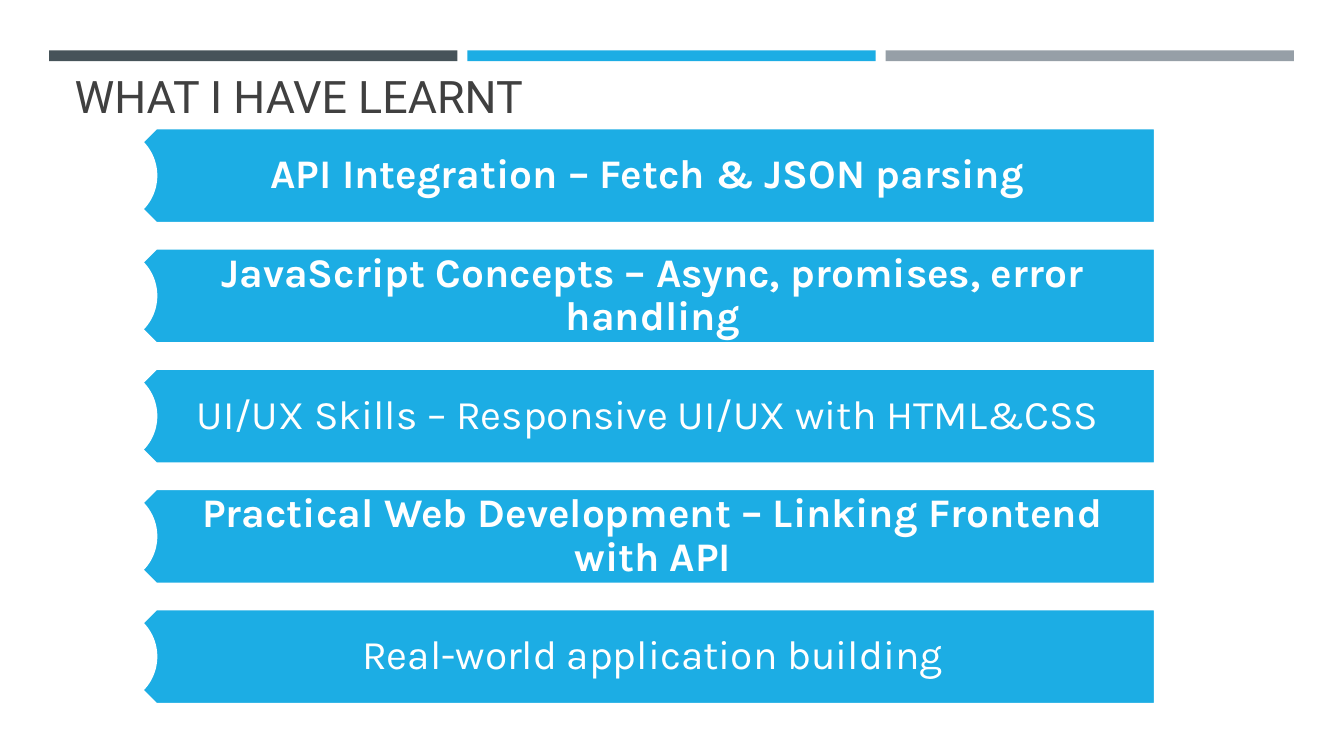
from pptx import Presentation
from pptx.dml.color import RGBColor
from pptx.enum.shapes import MSO_SHAPE
from pptx.enum.text import MSO_ANCHOR, PP_ALIGN
from pptx.util import Cm, Pt

RECTANGLE, PENTAGON, OVAL = MSO_SHAPE.RECTANGLE, MSO_SHAPE.PENTAGON, MSO_SHAPE.OVAL
MIDDLE, BOTTOM = MSO_ANCHOR.MIDDLE, MSO_ANCHOR.BOTTOM
LEFT, CENTER = PP_ALIGN.LEFT, PP_ALIGN.CENTER

SLATE = RGBColor(0x46, 0x53, 0x59)
BLUE = RGBColor(0x1C, 0xAD, 0xE4)
GREY = RGBColor(0x96, 0x9F, 0xA7)
DARK = RGBColor(0x40, 0x40, 0x40)
WHITE = RGBColor(0xFF, 0xFF, 0xFF)

# Each lesson: text, bold
LESSONS = [
    ("API Integration – Fetch & JSON parsing ", True),
    ("JavaScript Concepts – Async, promises, error handling", True),
    ("UI/UX Skills – Responsive UI/UX with HTML&CSS ", False),
    ("Practical Web Development – Linking Frontend with API", True),
    ("Real-world application building", False),
]


def add_text(page, text, box, *, font, size, color, bold=False, align=LEFT,
             anchor=MIDDLE, spacing=1.0, insets=(0.25, 0.13, 0.25, 0.13)):
    frame = page.shapes.add_textbox(*map(Cm, box)).text_frame
    frame.word_wrap = True
    frame.vertical_anchor = anchor
    (frame.margin_left, frame.margin_top,
     frame.margin_right, frame.margin_bottom) = map(Cm, insets)
    para = frame.paragraphs[0]
    para.alignment = align
    para.line_spacing = spacing
    span = para.add_run()
    span.text = text
    span.font.name = font
    span.font.size = Pt(size)
    span.font.bold = bold
    span.font.color.rgb = color


def add_block(page, kind, box, fill, line=None):
    shape = page.shapes.add_shape(kind, *map(Cm, box))
    shape.shadow.inherit = False
    shape.fill.solid()
    shape.fill.fore_color.rgb = fill
    if line is None:
        shape.line.fill.background()
    else:
        shape.line.color.rgb = line
        shape.line.width = Pt(1.75)
    return shape


def add_top_bars(page, box):
    left, top, width, height = box
    gap = 0.25
    bar_width = (width - 2 * gap) / 3
    for index, color in enumerate((SLATE, BLUE, GREY)):
        bar_left = left + index * (bar_width + gap)
        add_block(page, RECTANGLE, (bar_left, top, bar_width, height), color)


def add_lesson(page, box, text, bold):
    left, top, width, height = box
    # Banner pointing left
    banner = add_block(page, PENTAGON, box, BLUE, WHITE)
    banner.rotation = 180
    # Text starts half way into the point
    indent = height / 4
    add_text(page, text, (left + indent, top, width - indent, height),
             font="Karla", size=29, color=WHITE, bold=bold, align=CENTER,
             spacing=0.9, insets=(1.04, 0.3, 0.58, 0.3))
    # White disc centred on the tip
    add_block(page, OVAL, (left - height / 2, top, height, height), WHITE, WHITE)


def add_lesson_list(page, box):
    left, top, width, height = box
    row_height = 2.39
    pitch = (height - row_height) / (len(LESSONS) - 1)
    for index, (text, bold) in enumerate(LESSONS):
        add_lesson(page, (left, top + index * pitch, width, row_height), text, bold)


def main():
    deck = Presentation()
    deck.slide_width, deck.slide_height = Cm(33.87), Cm(19.05)
    page = deck.slides.add_slide(deck.slide_layouts[6])
    add_top_bars(page, (1.24, 1.27, 31.37, 0.27))
    add_text(page, "WHAT I HAVE LEARNT", (1.63, 1.75, 30.63, 1.47),
             font="Roboto", size=32, color=DARK, anchor=BOTTOM)
    add_lesson_list(page, (2.74, 3.23, 26.37, 14.51))
    deck.save("out.pptx")


if __name__ == "__main__":
    main()
